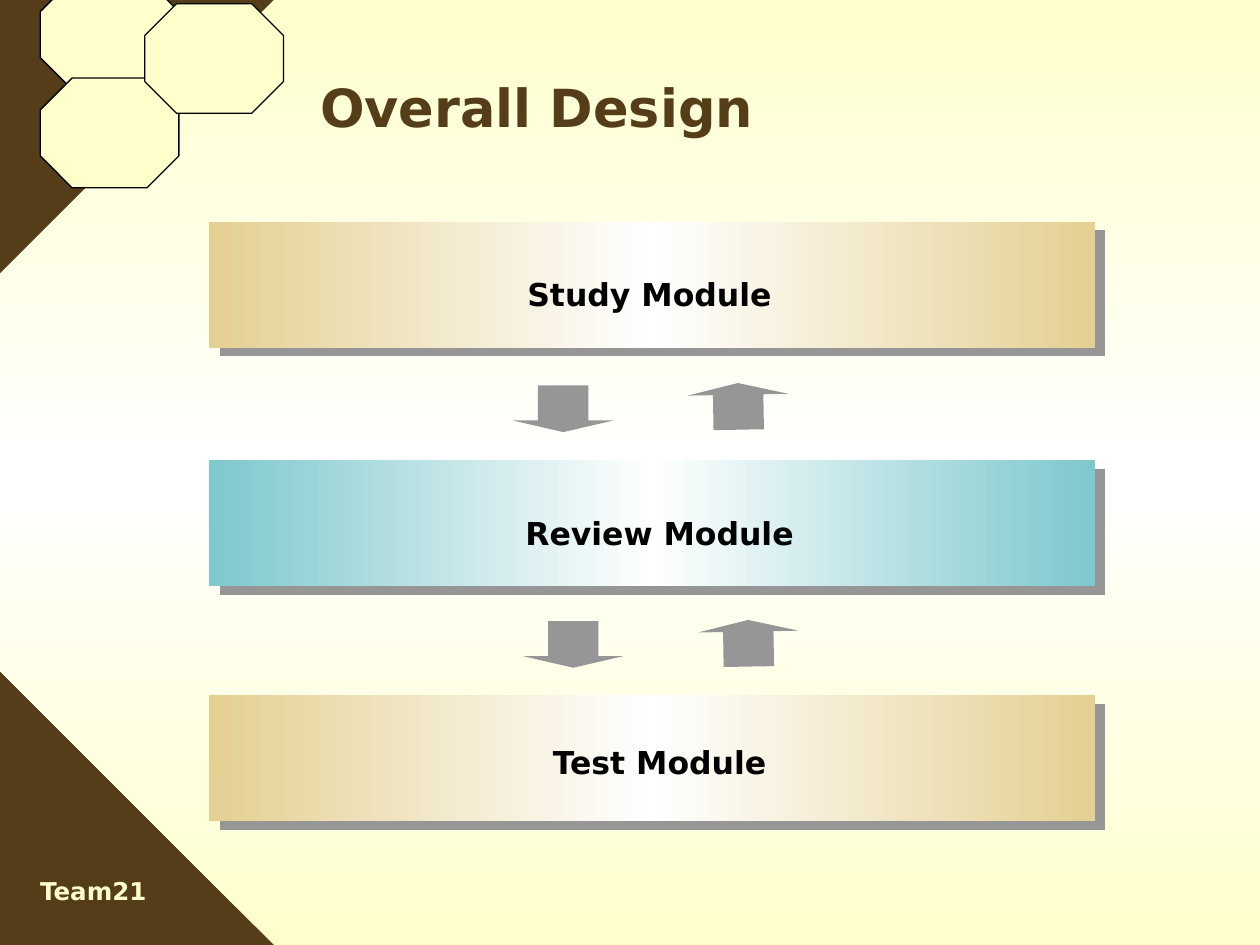
"""Build the Overall Design slide with its three stacked modules."""
from copy import deepcopy
from dataclasses import dataclass

from lxml.etree import SubElement
from pptx import Presentation
from pptx.dml.color import RGBColor
from pptx.enum.shapes import MSO_SHAPE as Shape
from pptx.enum.text import MSO_ANCHOR as Anchor, PP_ALIGN as Align
from pptx.oxml.ns import qn
from pptx.util import Inches, Pt


@dataclass(frozen=True)
class Theme:
    font: str = "DejaVu Sans"
    brown: str = "543D18"
    cream: str = "FFFFCC"
    white: str = "FFFFFF"
    black: str = "000000"
    gray: str = "969696"
    sand: str = "E5D093"
    teal: str = "7EC8CE"
    title_size: int = 30
    module_size: int = 18
    footer_size: int = 14


class SlideBuilder:
    def __init__(self, page, theme):
        self.page = page
        self.theme = theme

    def background(self, color):
        fill = self.page.background.fill
        fill.solid()
        fill.fore_color.rgb = RGBColor.from_string(color)

    def shape(self, kind, place, color=None, outline=None):
        item = self.page.shapes.add_shape(kind, *map(Inches, place))
        item.shadow.inherit = False
        if color:
            item.fill.solid()
            item.fill.fore_color.rgb = RGBColor.from_string(color)
        if outline:
            item.line.color.rgb = RGBColor.from_string(outline)
            item.line.width = Pt(0.75)
        else:
            item.line.fill.background()
        return item

    def gradient(self, kind, place, edge, angle):
        item = self.shape(kind, place)
        item.fill.gradient()
        item.fill.gradient_angle = angle
        stops = item._element.spPr.find(qn("a:gradFill")).find(qn("a:gsLst"))
        stops.insert(1, deepcopy(stops[0]))
        colors = (edge, self.theme.white, edge)
        for index, (stop, color) in enumerate(zip(item.fill.gradient_stops, colors)):
            stop.position = index / 2
            stop.color.rgb = RGBColor.from_string(color)
        return item

    def octagon(self, place):
        item = self.shape(Shape.OCTAGON, place, self.theme.cream, self.theme.black)
        item.adjustments[0] = 0.29

    def backdrop(self):
        self.gradient(Shape.RECTANGLE, (4.33, 0, 5.67, 7.5), self.theme.cream, 270)
        panel = self.gradient(Shape.OCTAGON, (0, 0, 7.5, 7.5), self.theme.cream, 270)
        panel.adjustments[0] = 0.29

    def bar(self, top, color):
        item = self.gradient(Shape.RECTANGLE, (1.66, top, 7.03, 1), color, 0)
        effects = item._element.spPr.find(qn("a:effectLst"))
        shadow = SubElement(effects, qn("a:outerShdw"), blurRad="0",
                            dist=str(Pt(7.8)), dir=str(40 * 60000),
                            algn="ctr", rotWithShape="0")
        SubElement(shadow, qn("a:srgbClr"), val=self.theme.gray)

    def arrow(self, left, top, rotation=0):
        item = self.shape(Shape.DOWN_ARROW, (left, top, 0.8, 0.37), self.theme.gray)
        item.adjustments[0] = 0.5
        item.adjustments[1] = 0.25
        item.rotation = rotation

    def set_text(self, frame, text, size, color, align):
        frame.word_wrap = True
        para = frame.paragraphs[0]
        para.text = text
        para.alignment = align
        para.font.name = self.theme.font
        para.font.size = Pt(size)
        para.font.bold = True
        para.font.color.rgb = RGBColor.from_string(color)

    def title(self, text, place):
        box = self.page.shapes.title
        self.page.shapes._spTree.append(box._element)
        box.left, box.top, box.width, box.height = map(Inches, place)
        box.text_frame.vertical_anchor = Anchor.MIDDLE
        self.set_text(box.text_frame, text, self.theme.title_size,
                      self.theme.brown, Align.LEFT)

    def label(self, text, place, size, color, align=Align.CENTER):
        box = self.page.shapes.add_textbox(*map(Inches, place))
        self.set_text(box.text_frame, text, size, color, align)


def main():
    theme = Theme()
    deck = Presentation()
    deck.slide_width, deck.slide_height = Inches(10), Inches(7.5)
    page = deck.slides.add_slide(deck.slide_layouts[5])
    builder = SlideBuilder(page, theme)

    builder.background(theme.brown)
    builder.backdrop()
    for left, top in ((0.32, -0.16), (0.32, 0.62), (1.15, 0.03)):
        builder.octagon((left, top, 1.1, 0.87))
    builder.title("Overall Design", (2.44, 0.51, 7.55, 0.67))

    modules = (
        ("Study Module", 1.76, theme.sand, 1.82, 2.13),
        ("Review Module", 3.65, theme.teal, 1.9, 4.03),
        ("Test Module", 5.52, theme.sand, 1.9, 5.85),
    )
    for name, bar_top, color, left, top in modules:
        builder.bar(bar_top, color)
        builder.label(name, (left, top, 6.67, 0.64), theme.module_size, theme.black)

    for left, down_top, up_top in ((4.07, 3.06, 3.04), (4.15, 4.93, 4.92)):
        builder.arrow(left, down_top)
        builder.arrow(left + 1.39, up_top, rotation=179)

    builder.label("Team21", (0.22, 6.9, 1.2, 0.38), theme.footer_size,
                  theme.cream, Align.LEFT)
    deck.save("out.pptx")


if __name__ == "__main__":
    main()
